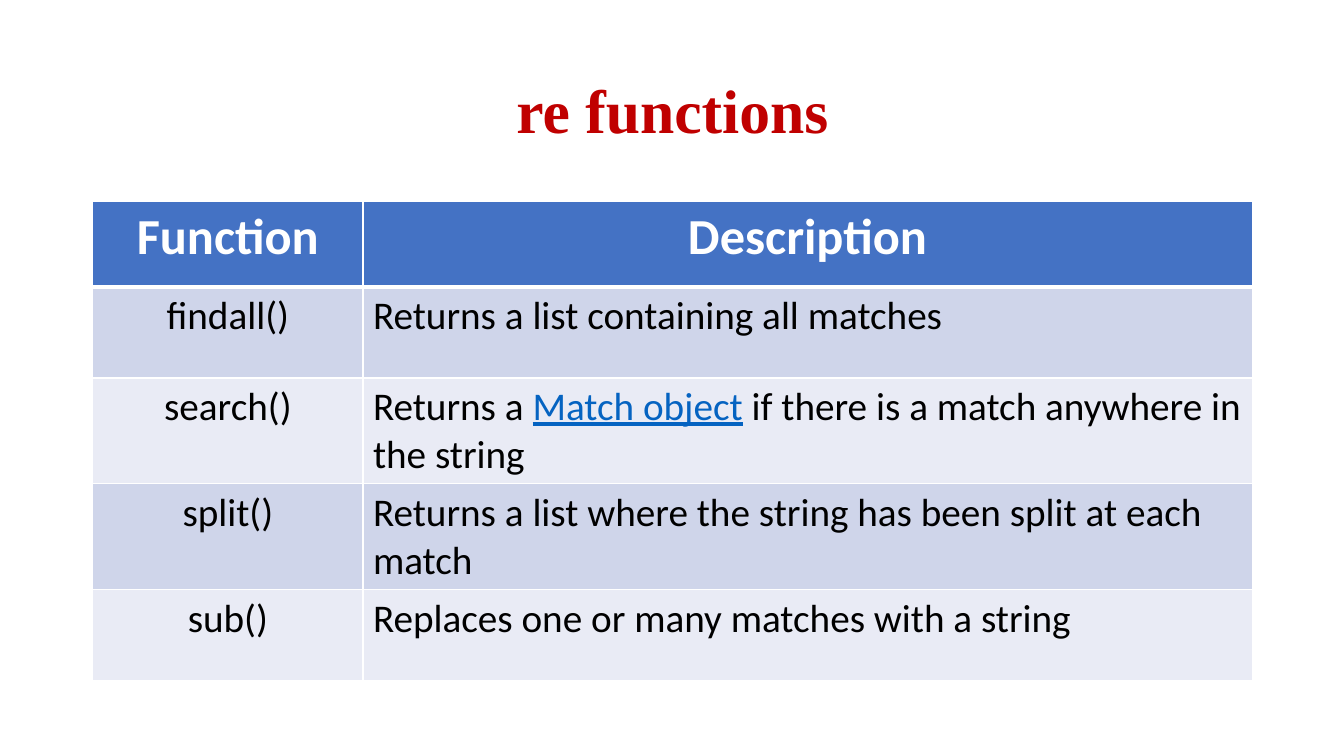
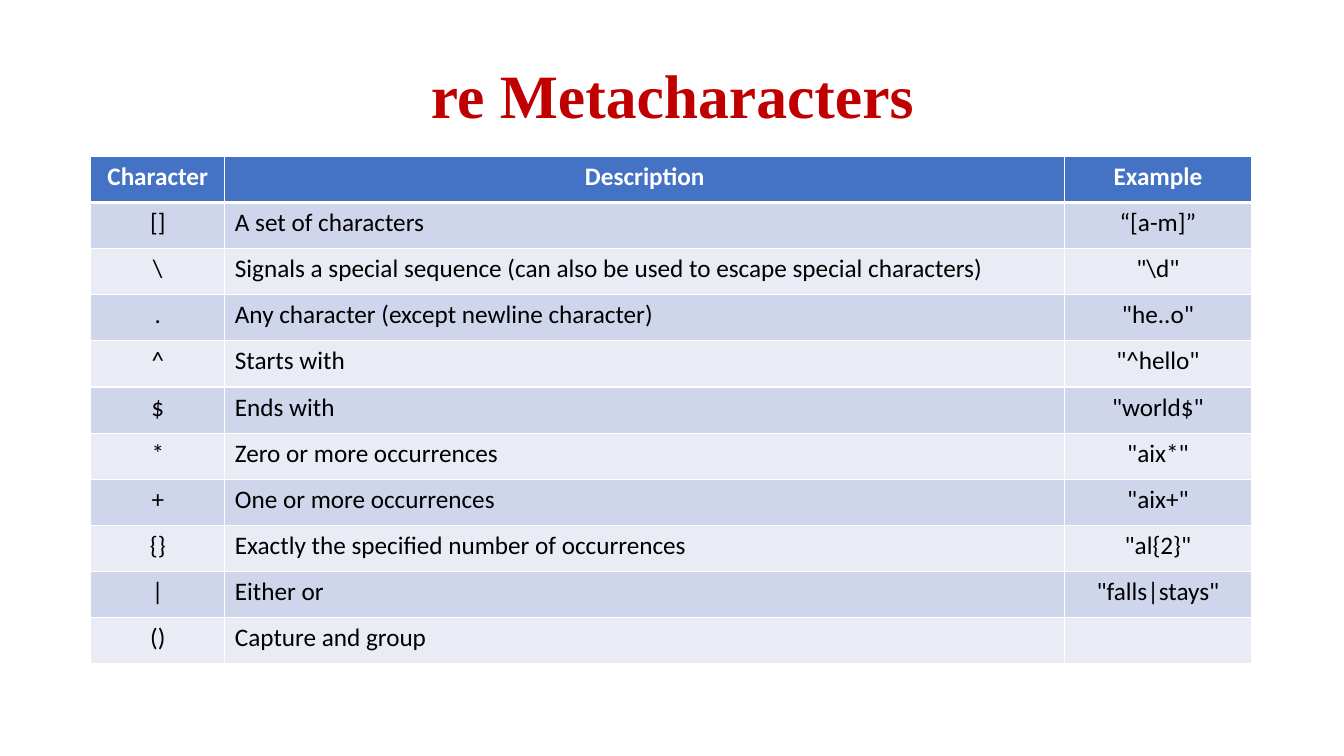
from lxml import etree
from pptx import Presentation
from pptx.dml.color import RGBColor
from pptx.enum import text as t
from pptx.oxml import ns
from pptx.util import Inches, Pt

COLORS = {
    "title": "C00000",
    "header": "4472C4",
    "odd_row": "CFD5EA",
    "even_row": "E9EBF5",
    "white": "FFFFFF",
    "body": "000000",
    "link": "0563C1",
}
TITLE_FONT, BODY_FONT = "Times New Roman", "Calibri"
THIN, THICK = 1, 3


class Deck:
    """Holds the shared style and the slide being built."""

    def __init__(self):
        self.prs = Presentation()
        self.prs.slide_width, self.prs.slide_height = Inches(13.33), Inches(7.5)
        self.slide = None

    def new_slide(self):
        self.slide = self.prs.slides.add_slide(self.prs.slide_layouts[6])

    def run(self, paragraph, words, size, color, font=BODY_FONT, bold=False):
        run = paragraph.add_run()
        run.text = words
        run.font.name, run.font.size, run.font.bold = font, Pt(size), bold
        run.font.color.rgb = RGBColor.from_string(COLORS[color])
        run.font.underline = color == "link"

    def title(self, words, height):
        box = self.slide.shapes.add_textbox(
            Inches(0.92), Inches(0.4), Inches(11.5), Inches(height))
        frame = box.text_frame
        frame.word_wrap = True
        frame.vertical_anchor = t.MSO_ANCHOR.MIDDLE
        heading = frame.paragraphs[0]
        heading.alignment = t.PP_ALIGN.CENTER
        heading.line_spacing = 0.9
        self.run(heading, words, 44, "title", TITLE_FONT, True)

    def borders(self, cell, top, bottom):
        props = cell._tc.get_or_add_tcPr()
        widths = {"lnL": THIN, "lnR": THIN, "lnT": top, "lnB": bottom}
        for position, (side, width) in enumerate(widths.items()):
            line = etree.Element(ns.qn("a:" + side), w=str(Pt(width)))
            fill = etree.SubElement(line, ns.qn("a:solidFill"))
            etree.SubElement(fill, ns.qn("a:srgbClr"), val=COLORS["white"])
            props.insert(position, line)

    def cell(self, cell, content, row, centered, size):
        """Fill one cell; content is a string or a list of (words, color)."""
        is_header = row == 0
        fill = "header" if is_header else "odd_row" if row % 2 else "even_row"
        cell.fill.solid()
        cell.fill.fore_color.rgb = RGBColor.from_string(COLORS[fill])
        self.borders(cell, THICK if row == 1 else THIN,
                     THICK if is_header else THIN)
        paragraph = cell.text_frame.paragraphs[0]
        if centered or is_header:
            paragraph.alignment = t.PP_ALIGN.CENTER
        if isinstance(content, str):
            content = [(content, "white" if is_header else "body")]
        for words, color in content:
            if words:
                self.run(paragraph, words, size, color, bold=is_header)

    def table(self, left, top, widths, heights, rows, header_size, body_size):
        table = self.slide.shapes.add_table(
            len(rows), len(widths), Inches(left), Inches(top),
            Inches(sum(widths)), Inches(sum(heights))).table
        table.horz_banding = False
        for column, width in zip(table.columns, widths):
            column.width = Inches(width)
        for r, (contents, height) in enumerate(zip(rows, heights)):
            table.rows[r].height = Inches(height)
            for c, content in enumerate(contents):
                # Only the description column is left-aligned
                self.cell(table.cell(r, c), content, r, c != 1,
                          body_size if r else header_size)


FUNCTIONS = [
    ("Function", "Description"),
    ("findall()", "Returns a list containing all matches"),
    ("search()", [("Returns a ", "body"), ("Match object", "link"),
                  (" if there is a match anywhere in the string", "body")]),
    ("split()", "Returns a list where the string has been split at each match"),
    ("sub()", "Replaces one or many matches with a string"),
]

METACHARACTERS = [
    ("Character", "Description", "Example"),
    ("[]", "A set of characters", "“[a-m]”"),
    ("\\", "Signals a special sequence (can also be used to escape special "
           "characters)", '"\\d"'),
    (".", "Any character (except newline character)", '"he..o"'),
    ("^", "Starts with", '"^hello"'),
    ("$", "Ends with", '"world$"'),
    ("*", "Zero or more occurrences", '"aix*"'),
    ("+", "One or more occurrences", '"aix+"'),
    ("{}", "Exactly the specified number of occurrences", '"al{2}"'),
    ("|", "Either or", '"falls|stays"'),
    ("()", "Capture and group", ""),
]


def main():
    deck = Deck()

    # Functions of the re module
    deck.new_slide()
    deck.title("re functions", 1.45)
    deck.table(0.92, 2, [2.68, 8.82], [0.85, 0.9, 1.05, 1.05, 0.9],
               FUNCTIONS, header_size=36, body_size=28)

    # Metacharacters
    deck.new_slide()
    deck.title("re Metacharacters", 1.15)
    row_height = 5.04 / len(METACHARACTERS)
    deck.table(0.9, 1.55, [1.33, 8.33, 1.85],
               [row_height] * len(METACHARACTERS),
               METACHARACTERS, header_size=18, body_size=18)

    deck.prs.save("out.pptx")


if __name__ == "__main__":
    main()
